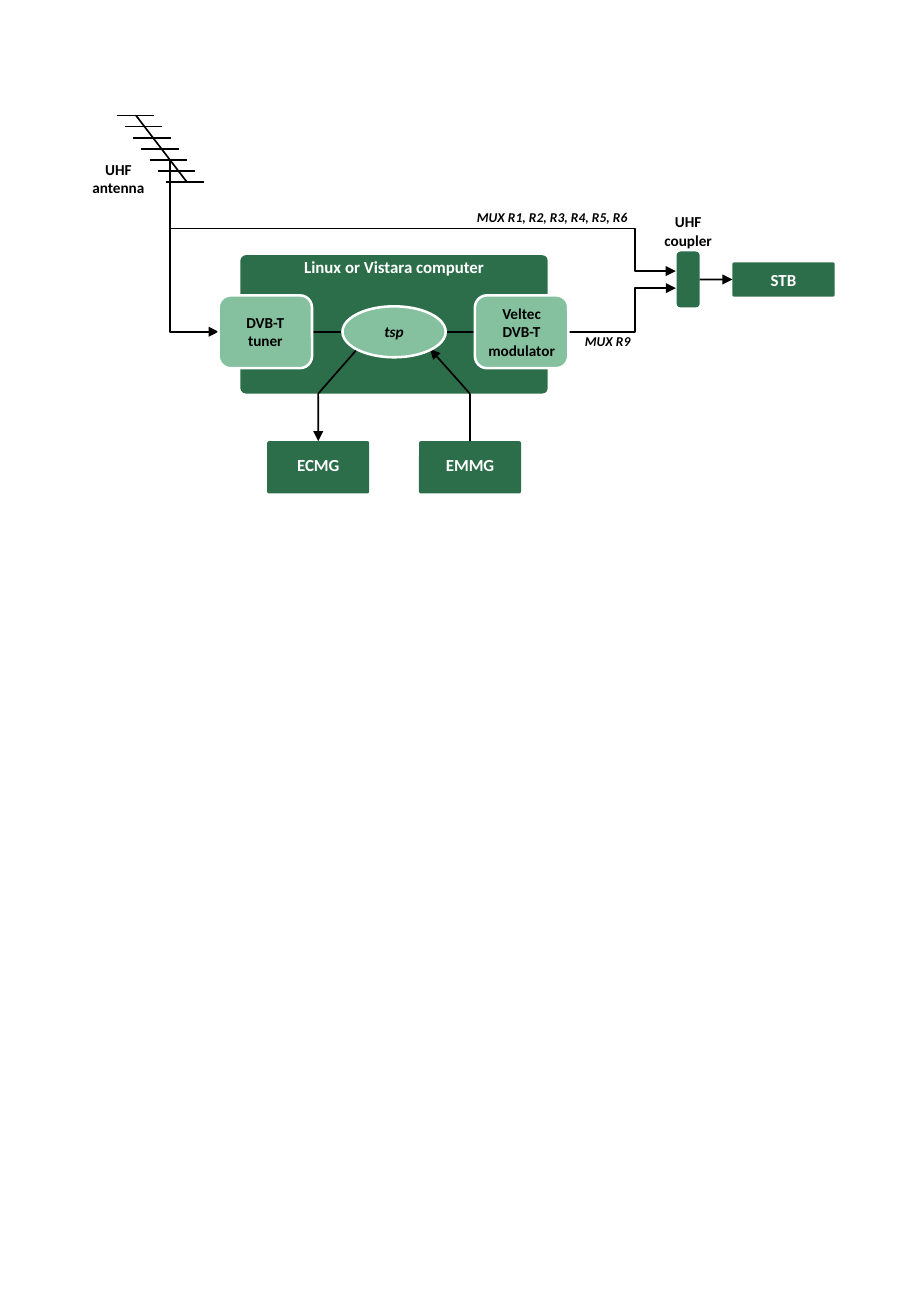
from lxml import etree
from pptx import Presentation
from pptx.dml.color import RGBColor
from pptx.enum.shapes import MSO_CONNECTOR as LINE, MSO_SHAPE as SHAPE
from pptx.enum.text import MSO_ANCHOR as ANCHOR, MSO_AUTO_SIZE as AUTO_SIZE, PP_ALIGN as ALIGN
from pptx.oxml.ns import qn
from pptx.util import Pt

COLORS = {"dark": "2C6E49", "light": "85C19F", "black": "000000", "white": "FFFFFF"}

deck = Presentation()
deck.slide_width, deck.slide_height = Pt(540), Pt(779.76)
page = deck.slides.add_slide(deck.slide_layouts[6])


def write(box, text, size, color, insets, italic=False, align=ALIGN.CENTER, anchor=ANCHOR.MIDDLE):
    """Fill a box with bold text; insets run left, top, right, bottom."""
    frame = box.text_frame
    frame.word_wrap = True
    frame.vertical_anchor = anchor
    (frame.margin_left, frame.margin_top,
     frame.margin_right, frame.margin_bottom) = [Pt(inset) for inset in insets]
    frame.text = text
    for para in frame.paragraphs:
        para.alignment = align
        for span in para.runs:
            span.font.name = "Calibri"
            span.font.size = Pt(size)
            span.font.bold = True
            span.font.italic = italic
            span.font.color.rgb = RGBColor.from_string(COLORS[color])


def link(x1, y1, x2, y2, arrow=False, bend=None):
    """Draw a black line, with an elbow at x = bend if one is given."""
    kind = LINE.STRAIGHT if bend is None else LINE.ELBOW
    line = page.shapes.add_connector(kind, Pt(x1), Pt(y1), Pt(x2), Pt(y2))
    line.line.width = Pt(1)
    line.line.color.rgb = RGBColor.from_string(COLORS["black"])
    properties = line._element.spPr
    if arrow:
        etree.SubElement(properties.find(qn("a:ln")), qn("a:tailEnd"), type="triangle")
    etree.SubElement(properties, qn("a:effectLst"))
    if bend is not None:
        guides = properties.find(qn("a:prstGeom")).find(qn("a:avLst"))
        share = round(100000 * (bend - x1) / (x2 - x1))
        etree.SubElement(guides, qn("a:gd"), name="adj1", fmla=f"val {share}")
    return line


# Dark boxes: text, left, top, width, height, corner, insets, anchor
HEADED = (7.2, 0, 7.2, 3.6)
dark_boxes = {}
for name, text, left, top, width, height, corner, insets, anchor in [
    ("coupler", "", 401.04, 149.04, 13.68, 33.12, 0.17, HEADED, ANCHOR.MIDDLE),
    ("computer", "Linux or Vistara computer", 142.5, 151.2, 182.2, 82, 0.04, HEADED, ANCHOR.TOP),
    ("ecmg", "ECMG", 158.4, 261.4, 60.5, 31, 0.04, HEADED, ANCHOR.MIDDLE),
    ("emmg", "EMMG", 248.4, 261.4, 60.5, 31, 0.04, HEADED, ANCHOR.MIDDLE),
    ("stb", "STB", 434.2, 155.5, 60.5, 20.2, 0.04, (7.2, 3.6, 7.2, 3.6), ANCHOR.MIDDLE),
]:
    box = page.shapes.add_shape(SHAPE.ROUNDED_RECTANGLE, Pt(left), Pt(top), Pt(width), Pt(height))
    box.shadow.inherit = False
    box.adjustments[0] = corner
    box.fill.solid()
    box.fill.fore_color.rgb = RGBColor.from_string(COLORS["dark"])
    box.line.fill.background()
    if text:
        write(box, text, 10, "white", insets, anchor=anchor)
    dark_boxes[name] = box

# Antenna: boom and seven elements
link(80.6, 68.4, 110.9, 108)
for index in range(7):
    left, height = 69.1 + 4.9 * index, 68.4 + 6.6 * index
    link(left, height, left + 22.2, height)

# Signal path
AXIS = 196.6
BEND = 376.6
tuner_link = link(185, AXIS, 203, AXIS)
modulator_link = link(263.6, AXIS, 281.5, AXIS)
link(211.8, 206.8, 188.6, 233.3)
link(278.6, 233.3, 255, 206.8, arrow=True)
ecmg_link = link(188.6, 233.3, 188.6, 261.4, arrow=True)
emmg_link = link(278.6, 233.3, 278.6, 261.4)
stb_link = link(414.7, 165.6, 434.2, 165.6, arrow=True)
link(336.9, AXIS, 400.6, 170.8, arrow=True, bend=BEND)
link(100.8, 135.4, 400.6, 160.6, arrow=True, bend=BEND)

# The antenna lead runs down, then right: a single-corner elbow turned by 270 degrees
lead = link(165.95, 131.4, 64.45, 160.2, arrow=True)
lead._element.spPr.find(qn("a:prstGeom")).set("prst", "bentConnector2")
lead._element.spPr.find(qn("a:xfrm")).set("rot", str(270 * 60000))

# Labels
for text, left, top, width, height, size, italic, align, right_inset in [
    ("UHF\ncoupler", 382.3, 126, 51.1, 21.6, 9, False, ALIGN.CENTER, 0),
    ("UHF\nantenna", 44.6, 95, 51.1, 21.6, 9, False, ALIGN.CENTER, 0),
    ("MUX R1, R2, R3, R4, R5, R6", 242.6, 123.8, 132.5, 9.6, 8, True, ALIGN.RIGHT, 2.9),
    ("MUX R9", 329.8, 197.3, 46.8, 9.6, 8, True, ALIGN.RIGHT, 2.9),
]:
    label = page.shapes.add_textbox(Pt(left), Pt(top), Pt(width), Pt(height))
    write(label, text, size, "black", (0, 0, right_inset, 0), italic, align, ANCHOR.TOP)
    label.text_frame.auto_size = AUTO_SIZE.SHAPE_TO_FIT_TEXT

# Processing stages, centred on the signal axis
stages = {}
for name, kind, text, left, width, height in [
    ("tsp", SHAPE.OVAL, "tsp", 203, 61.2, 30.2),
    ("tuner", SHAPE.ROUNDED_RECTANGLE, "DVB-T\ntuner", 129.6, 55.4, 43.2),
    ("modulator", SHAPE.ROUNDED_RECTANGLE, "Veltec\nDVB-T\nmodulator", 281.5, 55.4, 43.2),
]:
    stage = page.shapes.add_shape(kind, Pt(left), Pt(AXIS - height / 2), Pt(width), Pt(height))
    stage.shadow.inherit = False
    stage.fill.solid()
    stage.fill.fore_color.rgb = RGBColor.from_string(COLORS["light"])
    stage.line.color.rgb = RGBColor.from_string(COLORS["white"])
    stage.line.width = Pt(1.5)
    write(stage, text, 9, "black", (2.9, 3.6, 2.9, 3.6), italic=name == "tsp")
    stages[name] = stage

tuner_link.begin_connect(stages["tuner"], 3)
modulator_link.end_connect(stages["modulator"], 1)
ecmg_link.end_connect(dark_boxes["ecmg"], 0)
emmg_link.end_connect(dark_boxes["emmg"], 0)
stb_link.begin_connect(dark_boxes["coupler"], 3)
stb_link.end_connect(dark_boxes["stb"], 1)

deck.save("out.pptx")
